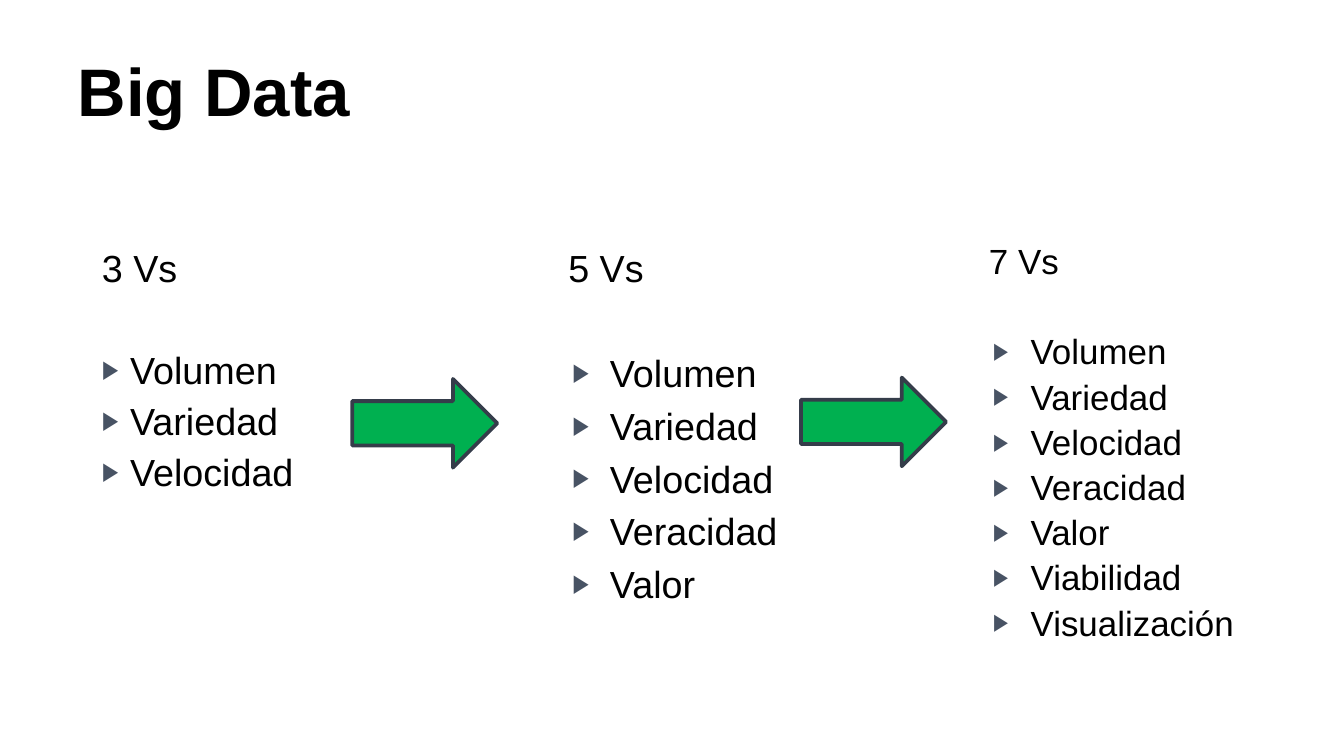
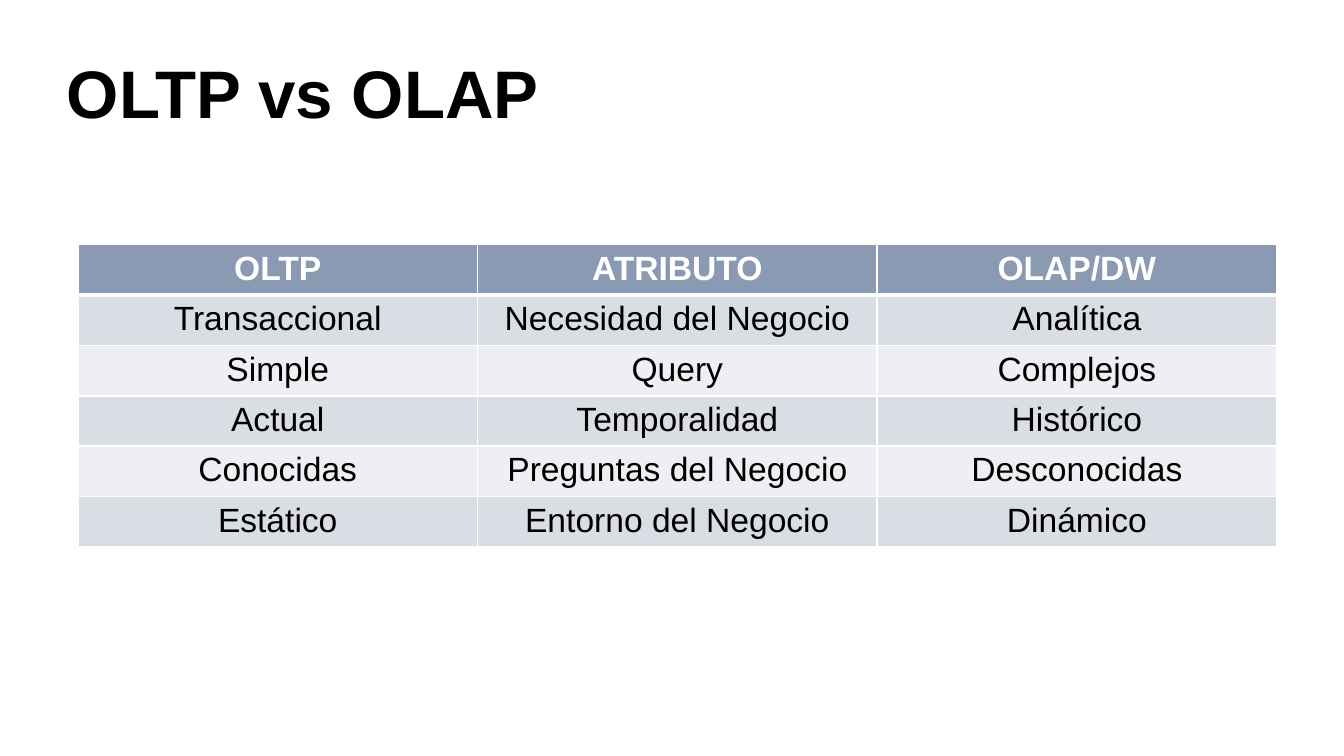
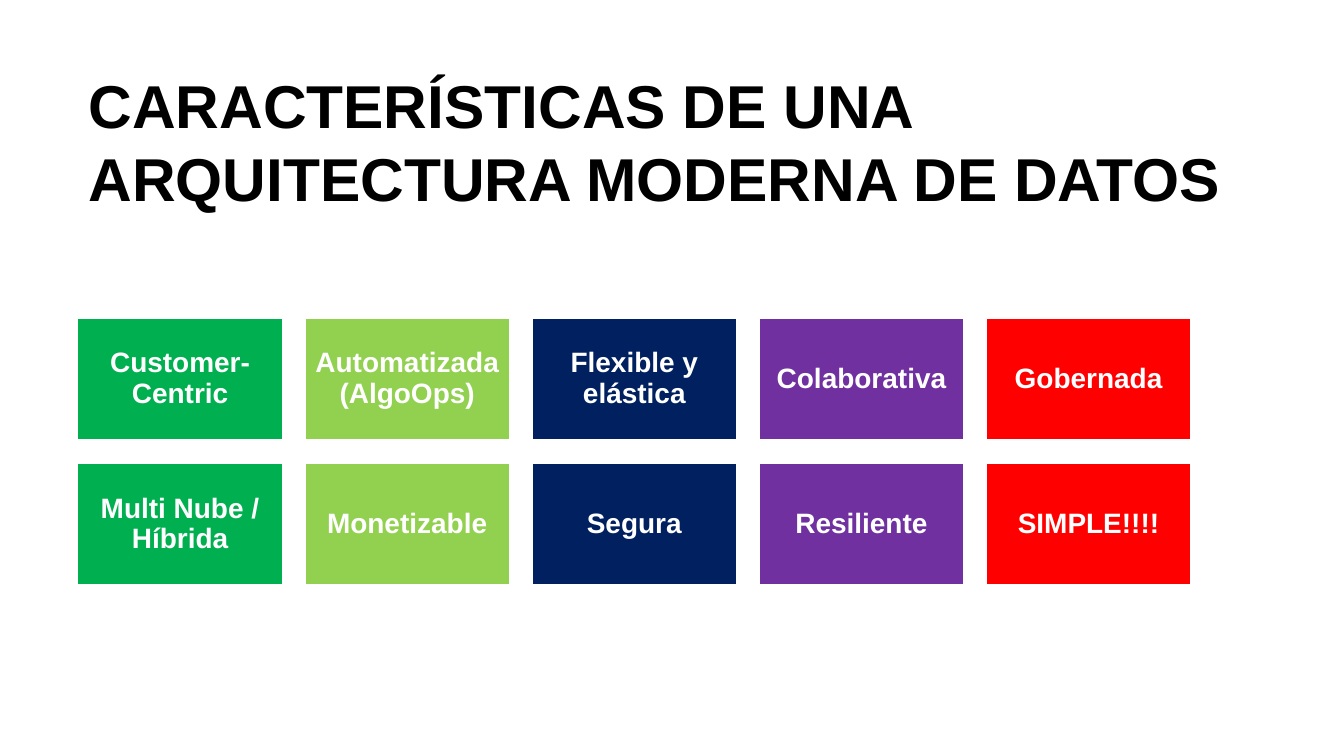
from dataclasses import dataclass
from itertools import product

from lxml.etree import SubElement as Sub
from pptx import Presentation
from pptx.dml.color import RGBColor as RGB
from pptx.enum.shapes import MSO_SHAPE as Shape
from pptx.enum.text import MSO_ANCHOR as Anchor, PP_ALIGN as Align
from pptx.oxml import parse_xml
from pptx.oxml.ns import nsdecls, qn
from pptx.util import Inches, Pt


@dataclass(frozen=True)
class Theme:
    font: str = "Arial"
    ink: str = "000000"
    white: str = "FFFFFF"
    mark: str = "485364"
    arrow: str = "00B050"
    edge: str = "353D4A"
    head: str = "8B9AB3"
    bands: tuple = ("EDEFF2", "DADDE4")
    tiles: tuple = ("00B050", "92D050", "002060", "7030A0", "FF0000")
    title: float = 36
    long: float = 32.4
    item: float = 20.2
    small: float = 18.7
    cell: float = 18
    tile: float = 15


T = Theme()


def style(para, size, color, bold=False):
    for run in para.runs:
        font = run.font
        font.name, font.size, font.bold = T.font, Pt(size), bold
        font.color.rgb = RGB.from_string(color)


def pad(frame, x, top, bottom):
    frame.margin_left = frame.margin_right = Inches(x)
    frame.margin_top, frame.margin_bottom = Inches(top), Inches(bottom)


def add_text(slide, box):
    frame = slide.shapes.add_textbox(*map(Inches, box)).text_frame
    frame.word_wrap = True
    return frame


def add_block(slide, kind, box, fill, line):
    shape = slide.shapes.add_shape(kind, *map(Inches, box))
    shape.shadow.inherit = False
    shape.fill.solid()
    shape.fill.fore_color.rgb = RGB.from_string(fill)
    shape.line.color.rgb = RGB.from_string(line)
    shape.line.width = Pt(2)
    return shape


def add_title(slide, box, text, size=T.title):
    frame = add_text(slide, box)
    pad(frame, 0.1, 0.1, 0.1)
    frame.vertical_anchor = Anchor.BOTTOM
    frame.text = text
    style(frame.paragraphs[0], size, T.ink, True)


# Lists of Vs
def indent(para, left, hang=0):
    props = para._p.get_or_add_pPr()
    props.set("marL", str(Inches(left)))
    props.set("indent", str(Inches(-hang)))
    return props


def add_mark(props):
    color = Sub(props, qn("a:buClr"))
    Sub(color, qn("a:srgbClr"), val=T.mark)
    Sub(props, qn("a:buSzPct"), val="68000")
    Sub(props, qn("a:buFont"), typeface=T.font)
    Sub(props, qn("a:buChar"), char="▶")


def add_list(slide, box, head, items, size=T.item, left=0.4, hang=0.28,
             gap=4, lead=1.0):
    frame = add_text(slide, box)
    frame.text = "\n".join([head, *items])
    for i, para in enumerate(frame.paragraphs):
        if i:
            add_mark(indent(para, left, hang))
            para.space_before = Pt(gap)
        else:
            # One free line below the heading
            indent(para, 0.09)
            para.space_after = Pt(round(size * 1.2 * lead + gap, 1))
        para.line_spacing = lead
        style(para, size, T.ink)
    return frame


def build_vs(slide):
    words = ["Volumen", "Variedad", "Velocidad", "Veracidad", "Valor",
             "Viabilidad", "Visualización"]
    first = add_list(slide, (0.57, 1.69, 1.91, 2.12), "3 Vs", words[:3],
                     left=0.3, hang=0.21, gap=3)
    pad(first, 0.1, 0.1, 0.1)
    first.vertical_anchor = Anchor.MIDDLE
    add_title(slide, (0.48, 0.32, 5.71, 0.75), "Big Data")
    add_list(slide, (4.04, 1.77, 1.91, 3.17), "5 Vs", words[:5])
    add_list(slide, (7.17, 1.77, 2.33, 3.14), "7 Vs", words, T.small,
             lead=0.9)
    for x, y in ((2.62, 2.82), (5.96, 2.81)):
        add_block(slide, Shape.RIGHT_ARROW, (x, y, 1.08, 0.66),
                  T.arrow, T.edge)


# Comparison table
def add_edges(cell, row):
    props = cell._tc.get_or_add_tcPr()
    wide = {"T": 3 if row == 1 else 1, "B": 3 if row == 0 else 1}
    for i, side in enumerate("LRTB"):
        width = Pt(wide.get(side, 1))
        props.insert(i, parse_xml(
            f'<a:ln{side} {nsdecls("a")} w="{width}"><a:solidFill>'
            f'<a:srgbClr val="{T.white}"/></a:solidFill></a:ln{side}>'))


def add_grid(slide, box, data):
    rows, cols = len(data), len(data[0])
    table = slide.shapes.add_table(rows, cols, *map(Inches, box)).table
    for r, c in product(range(rows), range(cols)):
        cell = table.cell(r, c)
        cell.text = data[r][c]
        pad(cell, 0.07, 0.04, 0.03)
        cell.fill.solid()
        fill = T.bands[r % 2] if r else T.head
        cell.fill.fore_color.rgb = RGB.from_string(fill)
        add_edges(cell, r)
        para = cell.text_frame.paragraphs[0]
        para.alignment = Align.CENTER
        style(para, T.cell, T.ink if r else T.white, r == 0)


def build_table(slide):
    add_title(slide, (0.4, 0.33, 5.71, 0.75), "OLTP vs OLAP")
    add_grid(slide, (0.58, 1.82, 8.92, 2.25), [
        ("OLTP", "ATRIBUTO", "OLAP/DW"),
        ("Transaccional", "Necesidad del Negocio", "Analítica"),
        ("Simple", "Query", "Complejos"),
        ("Actual", "Temporalidad", "Histórico"),
        ("Conocidas", "Preguntas del Negocio", "Desconocidas"),
        ("Estático", "Entorno del Negocio", "Dinámico"),
    ])


# Coloured tiles
def add_tiles(slide, box, rows, across=1.69, down=1.08):
    left, top, width, height = box
    for r, row in enumerate(rows):
        for c, (text, fill) in enumerate(zip(row, T.tiles)):
            place = (left + c * across, top + r * down, width, height)
            tile = add_block(slide, Shape.RECTANGLE, place, fill, T.white)
            frame = tile.text_frame
            frame.word_wrap = True
            pad(frame, 0.06, 0.06, 0.06)
            frame.vertical_anchor = Anchor.MIDDLE
            frame.text = text
            para = frame.paragraphs[0]
            para.alignment, para.line_spacing = Align.CENTER, 0.9
            style(para, T.tile, T.white, True)


def build_tiles(slide):
    add_title(slide, (0.56, 0.5, 9.11, 1.19),
              "CARACTERÍSTICAS DE UNA \vARQUITECTURA MODERNA DE DATOS", T.long)
    add_tiles(slide, (0.57, 2.36, 1.54, 0.92), [
        ("Customer-Centric", "Automatizada (AlgoOps)", "Flexible y elástica",
         "Colaborativa", "Gobernada"),
        ("Multi Nube / Híbrida", "Monetizable", "Segura", "Resiliente",
         "SIMPLE!!!!"),
    ])


def main():
    deck = Presentation()
    # Widescreen, 16 to 9
    deck.slide_width = Inches(10)
    deck.slide_height = Inches(10 * 9 / 16)
    for build in (build_vs, build_table, build_tiles):
        build(deck.slides.add_slide(deck.slide_layouts[6]))
    deck.save("out.pptx")


if __name__ == "__main__":
    main()
